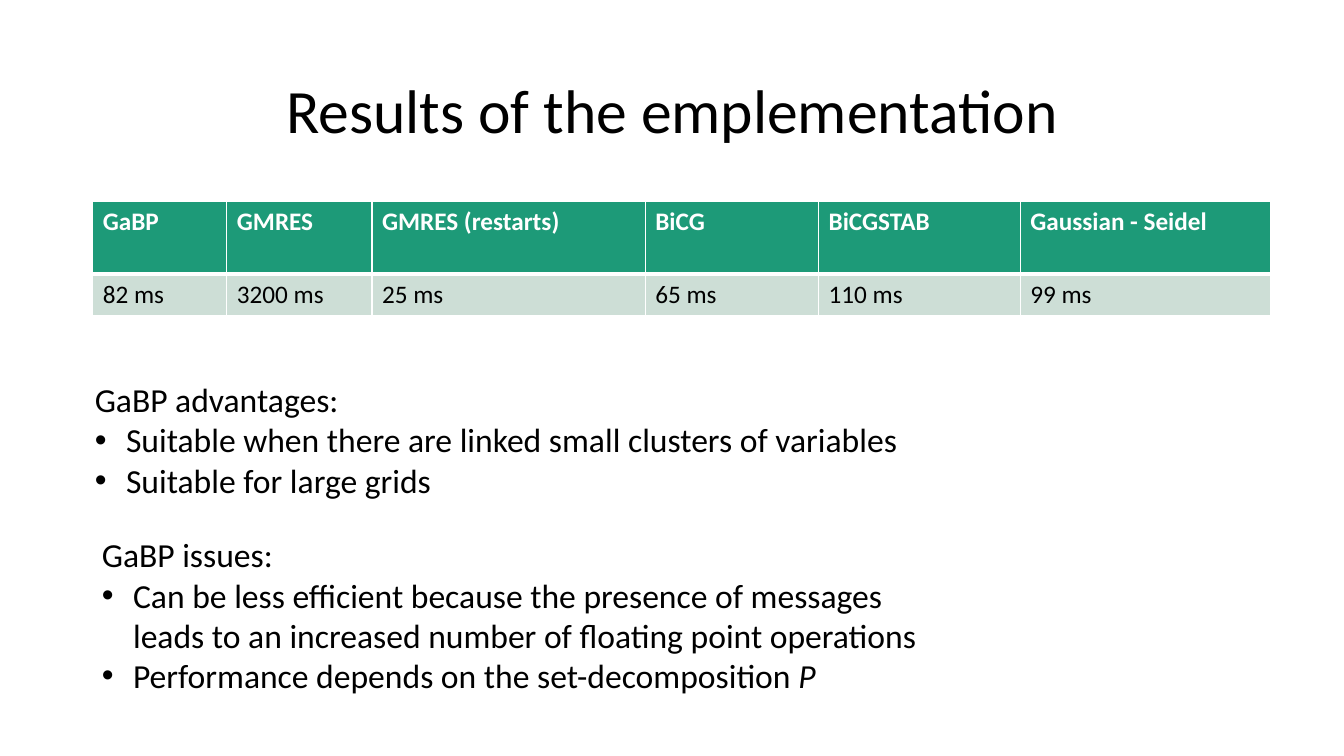
from dataclasses import dataclass

from lxml.etree import SubElement
from pptx import Presentation
from pptx.dml.color import RGBColor as RGB
from pptx.enum.text import MSO_ANCHOR, MSO_AUTO_SIZE, PP_ALIGN
from pptx.oxml.ns import qn
from pptx.util import Inches, Pt


@dataclass(frozen=True)
class Theme:
    font: str = "Calibri"
    title: int = 44
    body: int = 24
    cell: int = 18
    black: RGB = RGB(0x00, 0x00, 0x00)
    white: RGB = RGB(0xFF, 0xFF, 0xFF)
    green: RGB = RGB(0x1D, 0x9A, 0x78)
    pale: RGB = RGB(0xCD, 0xDE, 0xD6)


theme = Theme()


def add_run(p, text, size, color, bold=False, italic=False):
    r = p.add_run()
    r.text = text
    r.font.name = theme.font
    r.font.size = Pt(size)
    r.font.color.rgb = color
    r.font.bold = bold
    r.font.italic = italic


def place(sp, left, top, width, height):
    sp.left, sp.top = Inches(left), Inches(top)
    sp.width, sp.height = Inches(width), Inches(height)
    tf = sp.text_frame
    tf.word_wrap = True
    tf.auto_size = MSO_AUTO_SIZE.NONE
    return tf


prs = Presentation()
prs.slide_width, prs.slide_height = Inches(13.33), Inches(7.5)
slide = prs.slides.add_slide(prs.slide_layouts.get_by_name("Two Content"))
title, advantages, issues = slide.placeholders

tf = place(title, 0.92, 0.4, 11.5, 1.45)
tf.vertical_anchor = MSO_ANCHOR.MIDDLE
p = tf.paragraphs[0]
p.alignment = PP_ALIGN.CENTER
p.line_spacing = 0.9
add_run(p, "Results of the emplementation", theme.title, theme.black)

results = [
    ("GaBP", "82 ms", 1.33),
    ("GMRES", "3200 ms", 1.44),
    ("GMRES (restarts)", "25 ms", 2.71),
    ("BiCG", "65 ms", 1.72),
    ("BiCGSTAB", "110 ms", 2),
    ("Gaussian - Seidel", "99 ms", 2.48),
]
row_styles = [
    (0.72, theme.green, theme.white, True, {"lnL": 1, "lnR": 1, "lnT": 1, "lnB": 3}),
    (0.41, theme.pale, theme.black, False, {"lnL": 1, "lnR": 1, "lnT": 3, "lnB": 1}),
]
table = slide.shapes.add_table(
    len(row_styles), len(results), Inches(0.92), Inches(2), Inches(11.68), Inches(1.13)
).table
for row, (height, *_) in zip(table.rows, row_styles):
    row.height = Inches(height)
for col, (method, time, width) in enumerate(results):
    table.columns[col].width = Inches(width)
    for row, text in enumerate((method, time)):
        _, fill, color, bold, borders = row_styles[row]
        cell = table.cell(row, col)
        add_run(cell.text_frame.paragraphs[0], text, theme.cell, color, bold)
        tcPr = cell._tc.get_or_add_tcPr()
        for side, weight in borders.items():
            ln = SubElement(tcPr, qn(f"a:{side}"), w=str(Pt(weight)))
            line_fill = SubElement(ln, qn("a:solidFill"))
            SubElement(line_fill, qn("a:srgbClr"), val=str(theme.white))
        cell.fill.solid()
        cell.fill.fore_color.rgb = fill

lists = [
    (advantages, (0.84, 3.71, 8.43, 1.31), [
        [("GaBP advantages:", False)],
        [("Suitable when there are linked small clusters of variables", False)],
        [("Suitable for large grids", False)],
    ]),
    (issues, (0.91, 5.25, 8.43, 1.72), [
        [("GaBP issues:", False)],
        [("Can be less efficient because the presence of messages "
          "leads to an increased number of floating point operations", False)],
        [("Performance depends on the set-decomposition ", False), ("P", True)],
    ]),
]
for sp, box, lines in lists:
    tf = place(sp, *box)
    tf.vertical_anchor = MSO_ANCHOR.TOP
    for i, runs in enumerate(lines):
        p = tf.add_paragraph() if i else tf.paragraphs[0]
        p.space_before = Pt(0)
        pPr = p._p.get_or_add_pPr()
        indent = Inches(0.31) if i else 0
        pPr.set("marL", str(indent))
        pPr.set("indent", str(-indent))
        if i:
            SubElement(pPr, qn("a:buFont"), typeface="Arial")
            SubElement(pPr, qn("a:buChar"), char="•")
        else:
            SubElement(pPr, qn("a:buNone"))
        for text, italic in runs:
            add_run(p, text, theme.body, theme.black, italic=italic)

prs.save("out.pptx")
